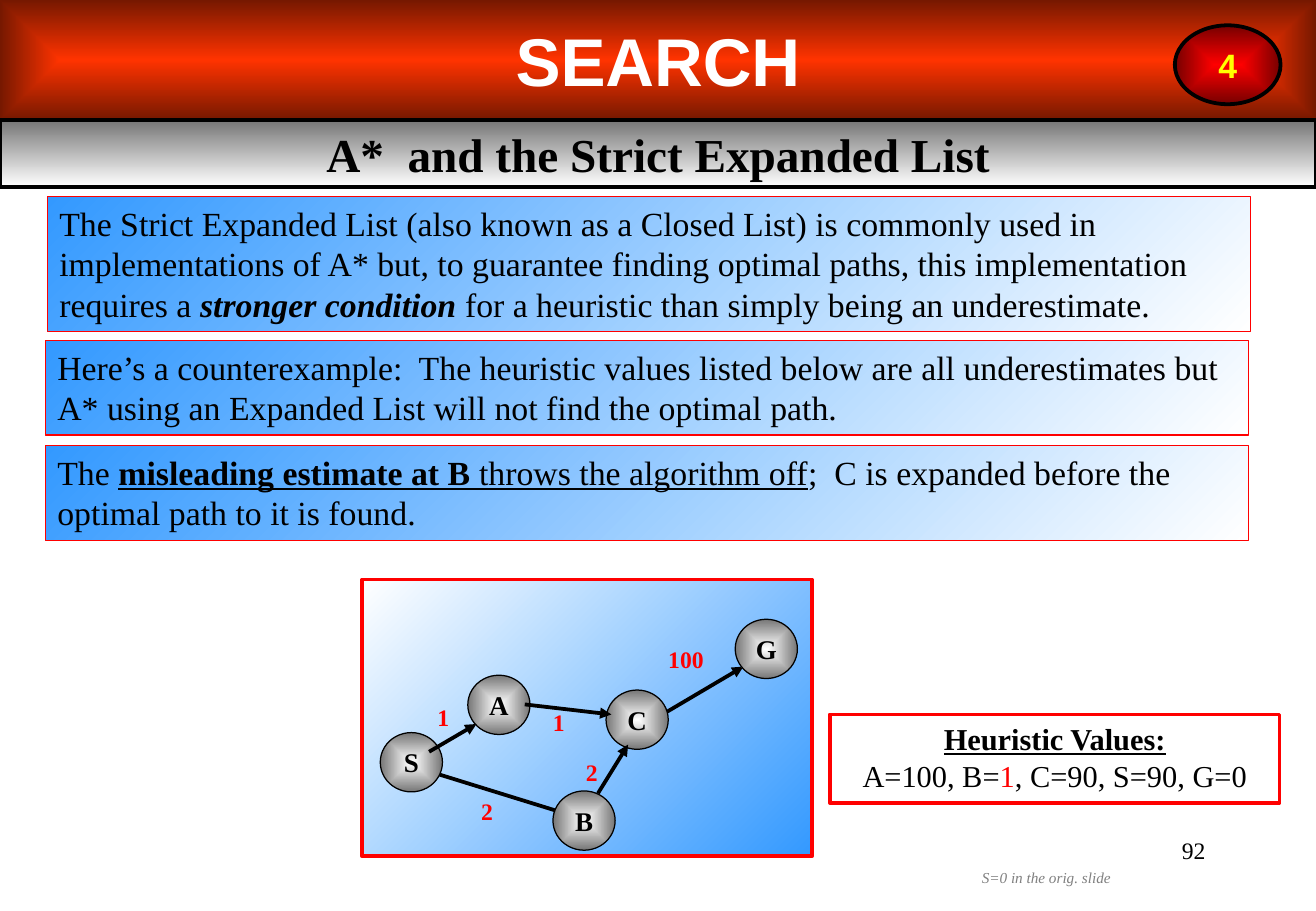
from lxml import etree
from pptx import Presentation
from pptx.dml.color import RGBColor
from pptx.enum.shapes import MSO_CONNECTOR, MSO_SHAPE
from pptx.enum.text import MSO_ANCHOR, PP_ALIGN
from pptx.oxml.ns import qn
from pptx.util import Cm, Pt

COLORS = {
    "black": "000000", "white": "FFFFFF", "red": "FF0000", "yellow": "FFFF00",
    "blue": "3399FF", "grey": "808080", "shade": "767676",
    "banner": "FF3300", "banner_edge": "761800", "badge_edge": "760000",
}
SERIF, SANS = "Times New Roman", "Arial"
W, H = 27.51, 19.05
BANNER_H, SUBTITLE_H = 2.51, 1.4

# A run is (text, style); style letters: b bold, i italic, u underline, r red
NOTES = [
    ((0.99, 4.11, 25.15, 2.82), [
        ("The Strict Expanded List (also known as a Closed List) is commonly used in "
         "implementations of A* but, to guarantee finding optimal paths, this "
         "implementation requires a ", ""),
        ("stronger condition", "bi"),
        (" for a heuristic than simply being an underestimate.", "")]),
    ((0.95, 7.12, 25.15, 1.98), [
        ("Here’s a counterexample:  The heuristic values listed below are all "
         "underestimates but A* using an Expanded List will not find the optimal path.", "")]),
    ((0.95, 9.32, 25.15, 1.98), [
        ("The ", ""), ("misleading estimate at B ", "bu"),
        ("throws the algorithm off", "u"),
        (";  C is expanded before the optimal path to it is found.", "")]),
]
HEURISTICS = [
    [("Heuristic Values:", "bu")],
    [("A=100, B=", ""), ("1", "r"), (", C=90, S=90, G=0", "")],
]
NODE_W, NODE_H = 1.3, 1.24
NODES = {"A": (9.78, 14.12), "C": (12.67, 14.43), "G": (15.37, 12.95),
         "S": (7.95, 15.32), "B": (11.56, 16.54)}
EDGES_BEHIND = [(13.56, 15.11, 15.54, 13.94),   # C to G
                (8.97, 16.13, 12.17, 17.12)]    # S to B
EDGES_FRONT = [(12.5, 16.59, 13.13, 15.57),     # B to C
               (10.97, 14.73, 12.78, 14.94),    # A to C
               (8.97, 15.72, 9.96, 15.14)]      # S to A
COST_W, COST_H = 1.8, 0.84
COSTS = [("1", 9.27, 15), ("1", 11.68, 15.1), ("2", 10.18, 16.96),
         ("100", 14.34, 13.78), ("2", 12.37, 16.14)]


def rgb(name):
    return RGBColor.from_string(COLORS[name])


def paint_gradient(sp, first, last, angle):
    """Shade linearly at a clockwise angle, or from the centre if angle is None."""
    fill = sp.fill
    fill.gradient()
    for stop, name in zip(fill.gradient_stops, (first, last)):
        stop.color.rgb = rgb(name)
    if angle is not None:
        fill.gradient_angle = 360 - angle
        return
    lin = sp._element.spPr.find(".//" + qn("a:lin"))
    path = etree.Element(qn("a:path"), {"path": "shape"})
    etree.SubElement(path, qn("a:fillToRect"), dict.fromkeys("ltrb", "50000"))
    lin.getparent().replace(lin, path)


def add_box(s, kind, at, gradient=None, line=None, width=0.75):
    sp = s.shapes.add_shape(kind, *map(Cm, at))
    sp.shadow.inherit = False
    if gradient:
        paint_gradient(sp, *gradient)
    else:
        sp.fill.background()
    if line:
        sp.line.color.rgb = rgb(line)
        sp.line.width = Pt(width)
    else:
        sp.line.fill.background()
    return sp


def write(sp, paragraphs, size, color="black", font=SERIF, align=PP_ALIGN.CENTER,
          anchor=MSO_ANCHOR.MIDDLE, wrap=True):
    tf = sp.text_frame
    tf.word_wrap = wrap
    tf.vertical_anchor = anchor
    for i, runs in enumerate(paragraphs):
        p = tf.add_paragraph() if i else tf.paragraphs[0]
        p.alignment = align
        for text, style in runs:
            r = p.add_run()
            r.text = text
            r.font.name, r.font.size = font, Pt(size)
            r.font.bold, r.font.italic = "b" in style, "i" in style
            r.font.underline = "u" in style
            r.font.color.rgb = rgb("red" if "r" in style else color)


def add_text(s, at, text, size, style="", **options):
    tb = s.shapes.add_textbox(*map(Cm, at))
    write(tb, [[(text, style)]], size, anchor=MSO_ANCHOR.TOP, **options)


def add_arrow(s, ends):
    cn = s.shapes.add_connector(MSO_CONNECTOR.STRAIGHT, *map(Cm, ends))
    cn.line.color.rgb = rgb("black")
    cn.line.width = Pt(2.25)
    etree.SubElement(cn.line._get_or_add_ln(), qn("a:tailEnd"), {"type": "triangle"})
    etree.SubElement(cn._element.spPr, qn("a:effectLst"))


def add_header(s):
    banner = add_box(s, MSO_SHAPE.RECTANGLE, (0, 0, W, BANNER_H),
                     ("banner", "banner_edge", None))
    write(banner, [[("SEARCH", "b")]], 40, "white", SANS)
    subtitle = add_box(s, MSO_SHAPE.RECTANGLE, (0, BANNER_H, W, SUBTITLE_H),
                       ("shade", "white", 90), "black", 2.25)
    write(subtitle, [[("A*  and the Strict Expanded List", "b")]], 28)
    badge = add_box(s, MSO_SHAPE.OVAL, (24.56, 0.53, 2.21, 1.65),
                    ("red", "badge_edge", None), "black", 2.25)
    write(badge, [[("4", "b")]], 20, "yellow", SANS, wrap=False)


def add_graph(s):
    add_box(s, MSO_SHAPE.RECTANGLE, (7.57, 12.12, 9.4, 5.79),
            ("white", "blue", 45), "red", 2.25)
    for ends in EDGES_BEHIND:
        add_arrow(s, ends)
    for name, (x, y) in NODES.items():
        node = add_box(s, MSO_SHAPE.OVAL, (x, y, NODE_W, NODE_H),
                       ("white", "shade", None), "black")
        write(node, [[(name, "b")]], 16, wrap=False)
    for ends in EDGES_FRONT:
        add_arrow(s, ends)
    for cost, x, y in COSTS:
        add_text(s, (x - COST_W / 2, y - COST_H / 2, COST_W, COST_H), cost, 14, "br",
                 wrap=False)


def main():
    prs = Presentation()
    prs.slide_width, prs.slide_height = Cm(W), Cm(H)
    s = prs.slides.add_slide(prs.slide_layouts[6])
    add_header(s)
    for at, runs in NOTES:
        note = add_box(s, MSO_SHAPE.RECTANGLE, at, ("blue", "white", 45), "red")
        write(note, [runs], 20, align=PP_ALIGN.LEFT, anchor=MSO_ANCHOR.TOP)
    add_graph(s)
    values = add_box(s, MSO_SHAPE.RECTANGLE, (17.35, 14.94, 9.4, 1.85),
                     line="red", width=2.25)
    write(values, HEURISTICS, 18, anchor=MSO_ANCHOR.TOP)
    add_text(s, (19.71, 17.35, 5.74, 1.27), "92", 14, align=PP_ALIGN.RIGHT)
    add_text(s, (20.27, 18.03, 3.2, 0.64), "S=0 in the orig. slide", 9, "i",
             color="grey", wrap=False)
    prs.save("out.pptx")


if __name__ == "__main__":
    main()
